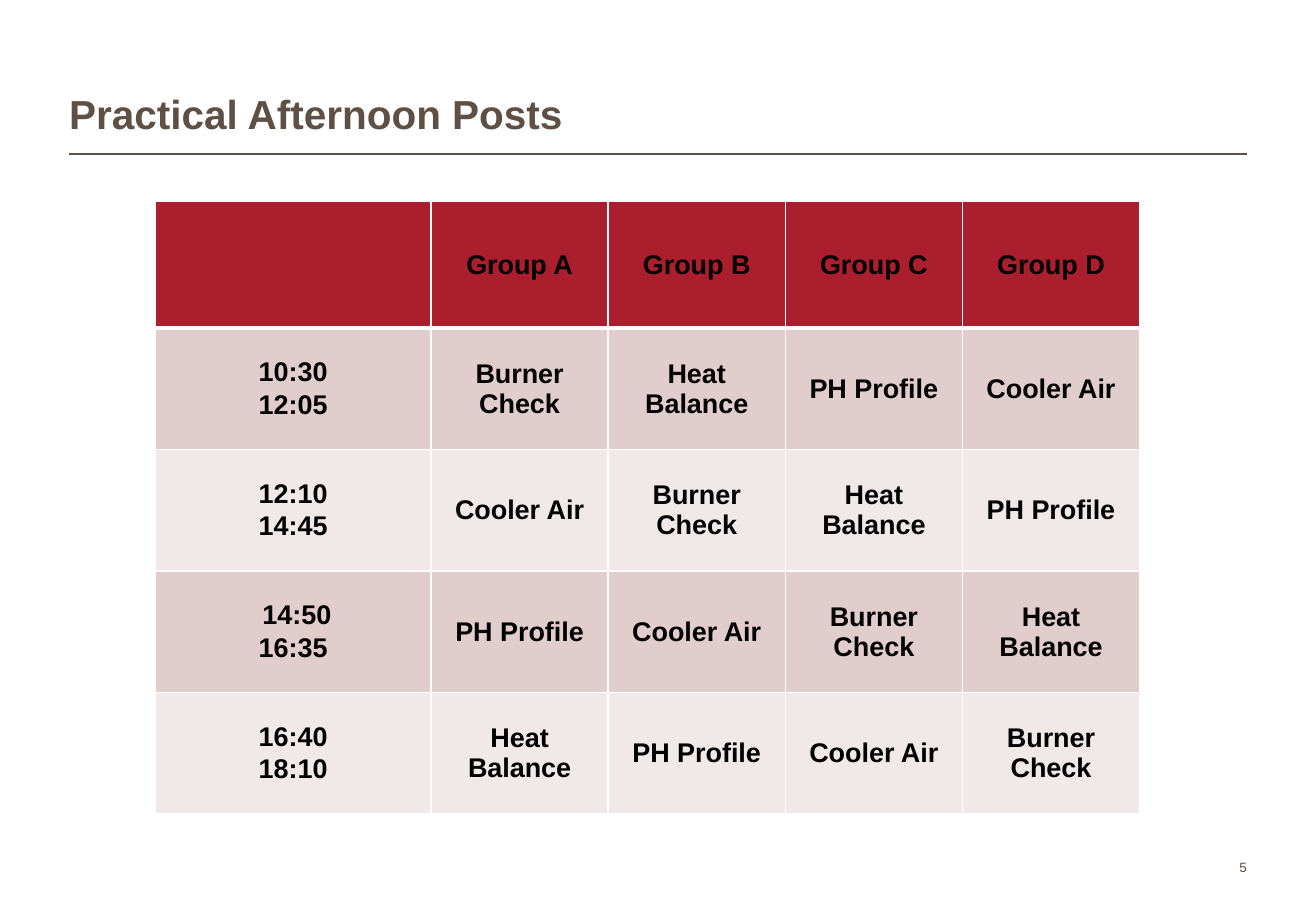
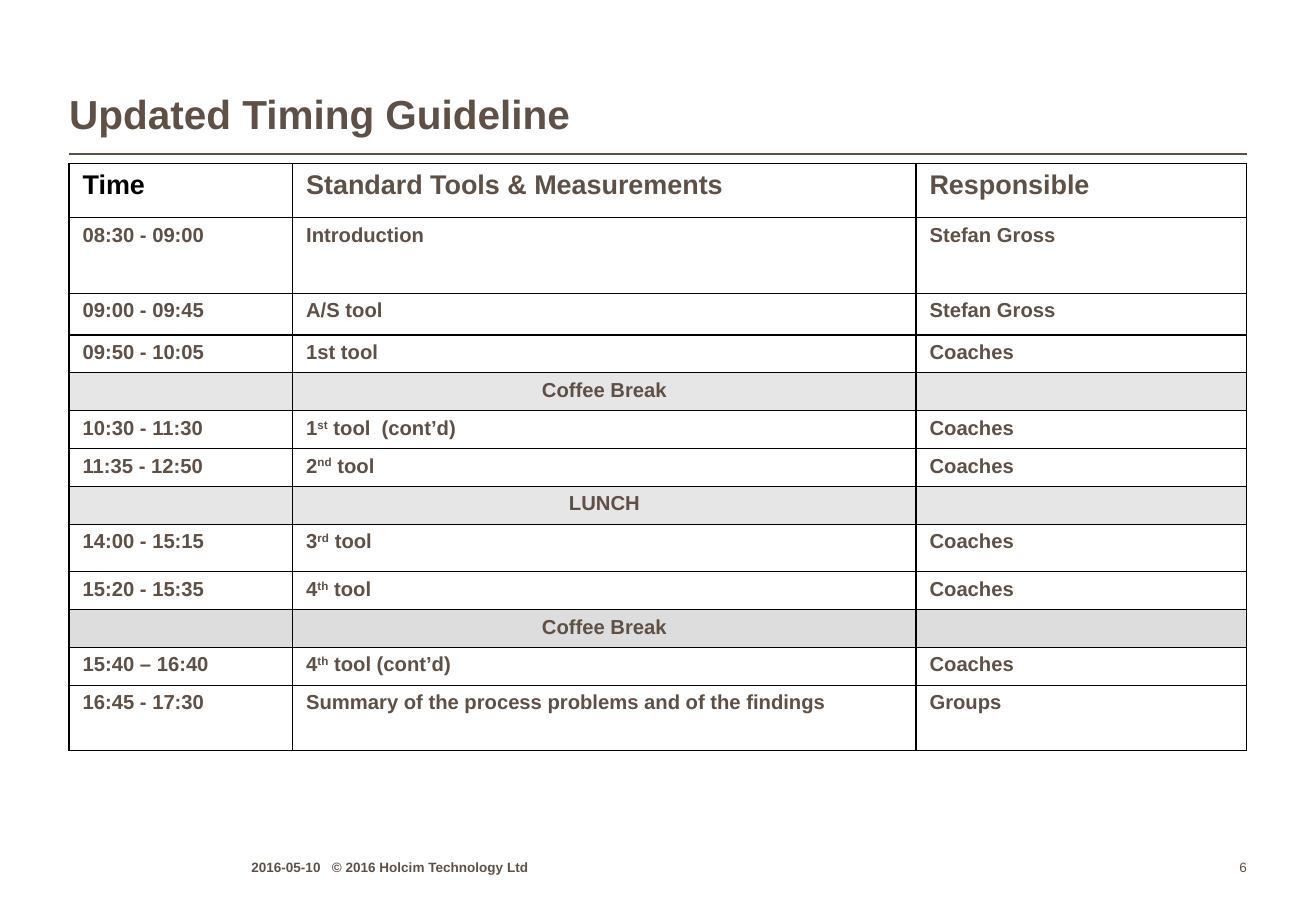
from dataclasses import dataclass

from lxml.etree import SubElement
from pptx import Presentation
from pptx.dml.color import RGBColor
from pptx.enum.shapes import MSO_CONNECTOR
from pptx.enum.text import MSO_ANCHOR, PP_ALIGN
from pptx.oxml.ns import qn
from pptx.util import Pt


@dataclass(frozen=True)
class Theme:
    font: str = "Arial"
    brown: str = "5F5046"
    black: str = "000000"
    white: str = "FFFFFF"
    red: str = "AA1E2D"
    bands: tuple = ("E2CDCD", "F1E8E8")
    light_grey: str = "E6E6E6"
    mid_grey: str = "DDDDDD"
    title_size: float = 24
    heading_size: float = 16
    body_size: float = 12
    footer_size: float = 8


THEME = Theme()
PAGE_WIDTH, PAGE_HEIGHT = 780, 540
LEFT, RIGHT = 41, 739
RULE_TOP = 91.5
FOOTER_TOP, FOOTER_HEIGHT = 505.5, 13

POSTS_TITLE = "Practical Afternoon Posts"
POSTS_HEADER = ["", "Group A", "Group B", "Group C", "Group D"]
POSTS = [
    (["10:30", "12:05"], "Burner Check", "Heat Balance", "PH Profile", "Cooler Air"),
    (["12:10", "14:45"], "Cooler Air", "Burner Check", "Heat Balance", "PH Profile"),
    ([" 14:50", "16:35"], "PH Profile", "Cooler Air", "Burner Check", "Heat Balance"),
    (["16:40", "18:10"], "Heat Balance", "PH Profile", "Cooler Air", "Burner Check"),
]
POSTS_COLUMNS = [163.5] + [105] * 4
POSTS_ROWS = [75] + [72] * 4

TIMING_TITLE = "Updated Timing Guideline"
TIMING_HEADER = ("Time", "Standard Tools & Measurements", "Responsible")
# Carets enclose raised text; each row ends with its height.
TIMING = [
    ("08:30 - 09:00", "Introduction", "Stefan Gross", 45),
    ("09:00 - 09:45", "A/S tool", "Stefan Gross", 24.5),
    ("09:50 - 10:05", "1st tool", "Coaches", 22.5),
    ("", "Coffee Break", "", 22.5),
    ("10:30 - 11:30", "1^st^ tool  (cont’d)", "Coaches", 22.5),
    ("11:35 - 12:50", "2^nd^ tool", "Coaches", 22.5),
    ("", "LUNCH", "", 22.5),
    ("14:00 - 15:15", "3^rd^ tool", "Coaches", 28),
    ("15:20 - 15:35", "4^th^ tool", "Coaches", 22.5),
    ("", "Coffee Break", "", 22.5),
    ("15:40 – 16:40", "4^th^ tool (cont’d)", "Coaches", 22.5),
    ("16:45 - 17:30", "Summary of the process problems and of the findings", "Groups", 38.5),
]
TIMING_COLUMNS = [132.5, 369.5, 196]
TIMING_HEADER_HEIGHT = 32
AFTERNOON_BREAK = 10
TIMING_FOOTER = "2016-05-10   © 2016 Holcim Technology Ltd"


def rgb(value):
    return RGBColor.from_string(value)


def add_text(para, text, size, color, bold=True):
    """Add runs to the paragraph, raising the parts between carets."""
    for index, part in enumerate(text.split("^")):
        span = para.add_run()
        span.text = part
        span.font.name = THEME.font
        span.font.size = Pt(size)
        span.font.bold = bold
        span.font.color.rgb = rgb(color)
        if index % 2:
            span._r.get_or_add_rPr().set("baseline", "30000")


def clear_margins(frame):
    frame.margin_left = frame.margin_right = frame.margin_top = frame.margin_bottom = 0
    frame.vertical_anchor = MSO_ANCHOR.BOTTOM
    frame.word_wrap = True


def add_page(deck, layout, title):
    page = deck.slides.add_slide(layout)
    frame = page.shapes.title.text_frame
    clear_margins(frame)
    para = frame.paragraphs[0]
    para.alignment = PP_ALIGN.LEFT
    para.line_spacing = 0.95
    add_text(para, title, THEME.title_size, THEME.brown)
    return page


def add_title_rule(page, layout):
    """Draw the rule and move it to the layout, so every slide shows it."""
    rule = page.shapes.add_connector(
        MSO_CONNECTOR.STRAIGHT, Pt(LEFT), Pt(RULE_TOP), Pt(RIGHT), Pt(RULE_TOP))
    rule.line.color.rgb = rgb(THEME.brown)
    rule.line.width = Pt(1)
    SubElement(rule._element.spPr, qn("a:effectLst"))
    layout.shapes._spTree.append(rule._element)


def add_footer(page, text, left, width, align, bold):
    box = page.shapes.add_textbox(Pt(left), Pt(FOOTER_TOP), Pt(width), Pt(FOOTER_HEIGHT))
    clear_margins(box.text_frame)
    para = box.text_frame.paragraphs[0]
    para.alignment = align
    add_text(para, text, THEME.footer_size, THEME.brown, bold)


def add_page_number(page, number):
    add_footer(page, str(number), RIGHT - 34, 34, PP_ALIGN.RIGHT, False)


def add_grid(page, left, top, columns, rows):
    table = page.shapes.add_table(
        len(rows), len(columns), Pt(left), Pt(top), Pt(sum(columns)), Pt(sum(rows))).table
    table.horz_banding = False
    for column, width in zip(table.columns, columns):
        column.width = Pt(width)
    for row, height in zip(table.rows, rows):
        row.height = Pt(height)
    return table


def set_borders(cell, color, top=1, bottom=1):
    properties = cell._tc.get_or_add_tcPr()
    for side, width in (("L", 1), ("R", 1), ("T", top), ("B", bottom)):
        line = SubElement(properties, qn(f"a:ln{side}"), w=str(Pt(width)))
        fill = SubElement(line, qn("a:solidFill"))
        SubElement(fill, qn("a:srgbClr"), val=color)


def fill_cell(cell, lines, size, color, fill, align):
    cell.fill.solid()
    cell.fill.fore_color.rgb = rgb(fill)
    for index, text in enumerate(lines):
        frame = cell.text_frame
        para = frame.add_paragraph() if index else frame.paragraphs[0]
        para.alignment = align
        if index:
            para.space_before = Pt(1.4)
        if text:
            add_text(para, text, size, color)
        else:
            SubElement(para._p, qn("a:endParaRPr"), sz=str(int(size * 100)))


def add_posts_table(page):
    table = add_grid(page, 92, 119.5, POSTS_COLUMNS, POSTS_ROWS)
    for r, row in enumerate([POSTS_HEADER, *POSTS]):
        fill = THEME.bands[(r - 1) % 2] if r else THEME.red
        for c, content in enumerate(row):
            cell = table.cell(r, c)
            cell.vertical_anchor = MSO_ANCHOR.MIDDLE
            set_borders(cell, THEME.white, 3 if r == 1 else 1, 1 if r else 3)
            lines = content if isinstance(content, list) else [content]
            fill_cell(cell, lines, THEME.heading_size, THEME.black, fill, PP_ALIGN.CENTER)


def add_timing_table(page):
    heights = [TIMING_HEADER_HEIGHT] + [row[-1] for row in TIMING]
    table = add_grid(page, LEFT, 97, TIMING_COLUMNS, heights)
    for r, row in enumerate([TIMING_HEADER] + [row[:-1] for row in TIMING]):
        is_break = not row[0]
        fill = THEME.white
        if is_break:
            fill = THEME.mid_grey if r == AFTERNOON_BREAK else THEME.light_grey
        for c, text in enumerate(row):
            cell = table.cell(r, c)
            cell.margin_left = cell.margin_right = Pt(8)
            set_borders(cell, THEME.black)
            fill_cell(cell, [text],
                      THEME.body_size if r else THEME.heading_size,
                      THEME.black if r == c == 0 else THEME.brown,
                      fill, PP_ALIGN.CENTER if is_break else PP_ALIGN.LEFT)


def main():
    deck = Presentation()
    deck.slide_width, deck.slide_height = Pt(PAGE_WIDTH), Pt(PAGE_HEIGHT)
    layout = deck.slide_layouts.get_by_name("Title Only")
    title = layout.placeholders[0]
    title.left, title.top = Pt(LEFT), Pt(15)
    title.width, title.height = Pt(RIGHT - LEFT), Pt(67)

    posts = add_page(deck, layout, POSTS_TITLE)
    add_title_rule(posts, layout)
    add_posts_table(posts)
    add_page_number(posts, 5)

    timing = add_page(deck, layout, TIMING_TITLE)
    add_timing_table(timing)
    add_footer(timing, TIMING_FOOTER, 149, 249, PP_ALIGN.LEFT, True)
    add_page_number(timing, 6)

    deck.save("out.pptx")


if __name__ == "__main__":
    main()
